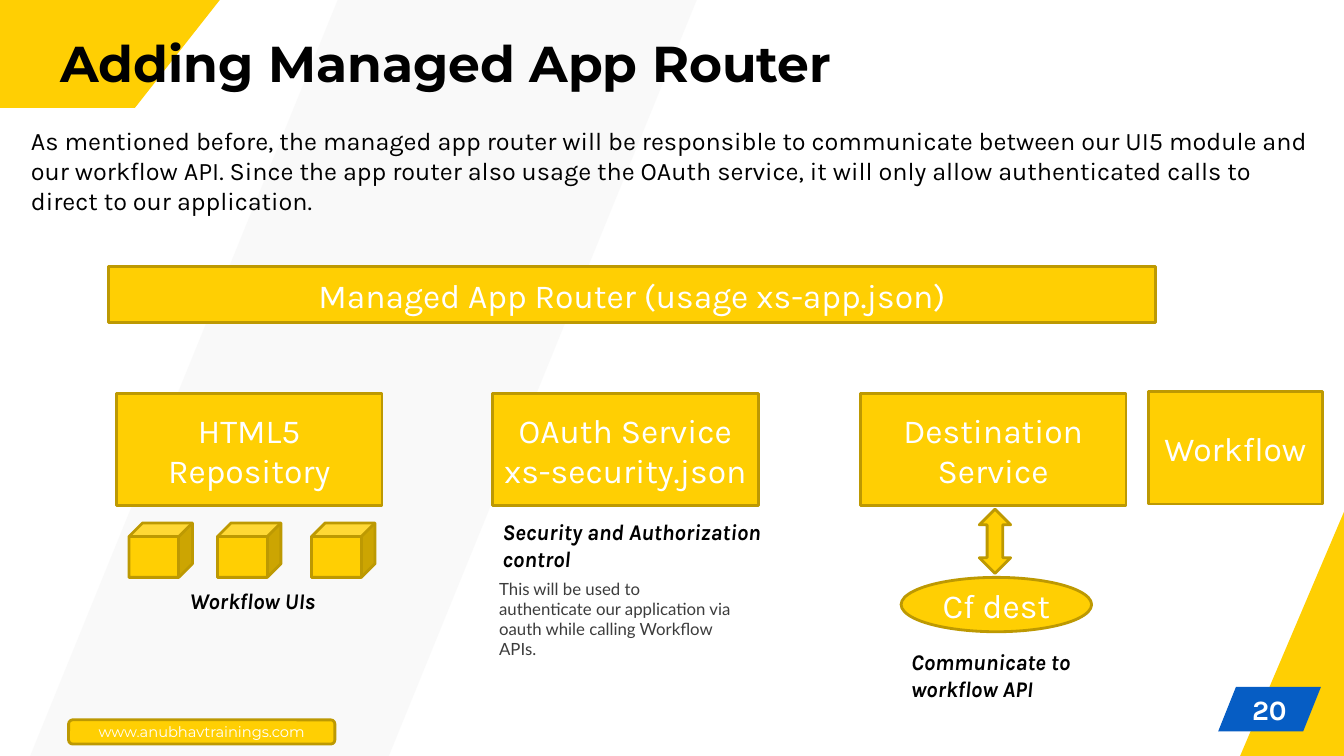
"""Build the slide on adding a managed app router."""
from dataclasses import dataclass

from lxml.etree import SubElement
from pptx import Presentation
from pptx.dml.color import RGBColor as RGB
from pptx.enum.shapes import MSO_SHAPE as SHAPE
from pptx.enum.text import MSO_ANCHOR as ANCHOR, MSO_AUTO_SIZE as AUTO, PP_ALIGN as ALIGN
from pptx.oxml.ns import qn
from pptx.util import Cm, Pt


@dataclass(frozen=True)
class Theme:
    yellow = RGB(0xFF, 0xCF, 0x03)
    gold = RGB(0xBD, 0x99, 0x02)
    blue = RGB(0x06, 0x5D, 0xC4)
    band = RGB(0xF2, 0xF2, 0xF2)
    white = RGB(0xFF, 0xFF, 0xFF)
    black = RGB(0, 0, 0)
    grey = RGB(0x3C, 0x3C, 0x3C)
    title = dict(name="Montserrat", size=Pt(36), bold=True, color=black)
    body = dict(name="Karla", size=Pt(18), color=black)
    label = dict(name="Karla", size=Pt(24), color=white)
    caption = dict(name="Karla", size=Pt(16), bold=True, italic=True, color=black)
    note = dict(name="Lato", size=Pt(12), color=grey)
    number = dict(name="Karla", size=Pt(20), bold=True, color=white)
    link = dict(name="Montserrat", size=Pt(10.5), color=white)


def write(sp, text, fmt, align=ALIGN.LEFT, anchor=ANCHOR.TOP):
    tf = sp.text_frame
    tf.word_wrap = True
    tf.auto_size = AUTO.NONE
    tf.vertical_anchor = anchor
    for i, line in enumerate(text.split("\n")):
        p = tf.add_paragraph() if i else tf.paragraphs[0]
        p.alignment = align
        r = p.add_run()
        r.text = line
        for key, value in fmt.items():
            if key == "color":
                r.font.color.rgb = value
            else:
                setattr(r.font, key, value)
    return tf


def add_box(kind, box, text="", fmt=Theme.label):
    sp = s.shapes.add_shape(kind, *map(Cm, box))
    sp.shadow.inherit = False
    sp.fill.solid()
    sp.fill.fore_color.rgb = Theme.yellow
    sp.line.color.rgb = Theme.gold
    sp.line.width = Pt(2)
    if text:
        write(sp, text, fmt, ALIGN.CENTER, ANCHOR.MIDDLE)
    return sp


prs = Presentation()
prs.slide_width, prs.slide_height = Cm(33.87), Cm(19.05)
s = prs.slides.add_slide(prs.slide_layouts[5])

for color, opacity, points in [
    (Theme.band, 40, [(8.53, -0.05), (17.58, -0.05), (9.78, 19.1), (0.74, 19.1)]),
    (Theme.yellow, 100, [(33.87, 12.9), (33.87, 19.08), (31.24, 19.08)]),
    (Theme.yellow, 100, [(0, 0), (5.54, 0), (3.4, 2.72), (0, 2.72)]),
]:
    start, *rest = [(Cm(x), Cm(y)) for x, y in points]
    outline = s.shapes.build_freeform(*start)
    outline.add_line_segments(rest, close=True)
    sp = outline.convert_to_shape()
    sp.shadow.inherit = False
    sp.fill.solid()
    sp.fill.fore_color.rgb = color
    sp.line.fill.background()
    if opacity < 100:
        clr = sp.element.spPr.find(qn("a:solidFill"))[0]
        SubElement(clr, qn("a:alpha")).set("val", str(opacity * 1000))

badge = add_box(SHAPE.PARALLELOGRAM, (30.7, 17.31, 2.59, 1.12))
badge.adjustments[0] = 0.4
badge.fill.fore_color.rgb = Theme.blue
badge.line.fill.background()
number = s.shapes.add_textbox(Cm(31.29), Cm(17.37), Cm(1.4), Cm(1.02))
tf = write(number, "20", Theme.number, ALIGN.CENTER, ANCHOR.MIDDLE)
tf.margin_left = tf.margin_right = tf.margin_top = tf.margin_bottom = 0

title = s.shapes.title
title.left, title.top, title.width, title.height = map(Cm, (1.52, 0.48, 28.8, 1.98))
tf = write(title, "Adding Managed App Router", Theme.title, anchor=ANCHOR.BOTTOM)
tf.margin_left = tf.margin_right = 0
title.element.getparent().append(title.element)

add_box(SHAPE.ROUNDED_RECTANGLE, (1.73, 18.14, 6.71, 0.61),
        "www.anubhavtrainings.com", Theme.link)
add_box(SHAPE.RECTANGLE, (2.73, 6.72, 26.4, 1.41), "Managed App Router (usage xs-app.json)")

for left, top, width, text in [
    (2.93, 9.92, 6.7, "HTML5 Repository"),
    (12.41, 9.92, 6.7, "OAuth Service\nxs-security.json"),
    (21.68, 9.92, 6.7, "Destination Service"),
    (28.94, 9.87, 4.39, "Workflow"),
]:
    add_box(SHAPE.RECTANGLE, (left, top, width, 2.83), text)

for left in (3.25, 5.48, 7.85):
    add_box(SHAPE.CUBE, (left, 13.18, 1.6, 1.37))

add_box(SHAPE.OVAL, (22.71, 14.55, 4.8, 1.37), "Cf dest")
add_box(SHAPE.UP_DOWN_ARROW, (24.68, 12.83, 0.79, 1.62))

for box, fmt, text in [
    ((0.53, 3.03, 32.79, 2.57), Theme.body,
     "As mentioned before, the managed app router will be responsible to communicate "
     "between our UI5 module and our workflow API. Since the app router also usage the "
     "OAuth service, it will only allow authenticated calls to direct to our application."),
    ((4.53, 14.68, 7.26, 0.94), Theme.caption, "Workflow UIs"),
    ((12.41, 12.93, 7.26, 1.63), Theme.caption, "Security and Authorization control"),
    ((22.71, 16.21, 6.63, 1.63), Theme.caption, "Communicate to workflow API"),
    ((12.33, 14.45, 6.4, 1.8), Theme.note,
     "This will be used to authenticate our application via oauth while calling "
     "Workflow APIs."),
]:
    write(s.shapes.add_textbox(*map(Cm, box)), text, fmt)

prs.save("out.pptx")
